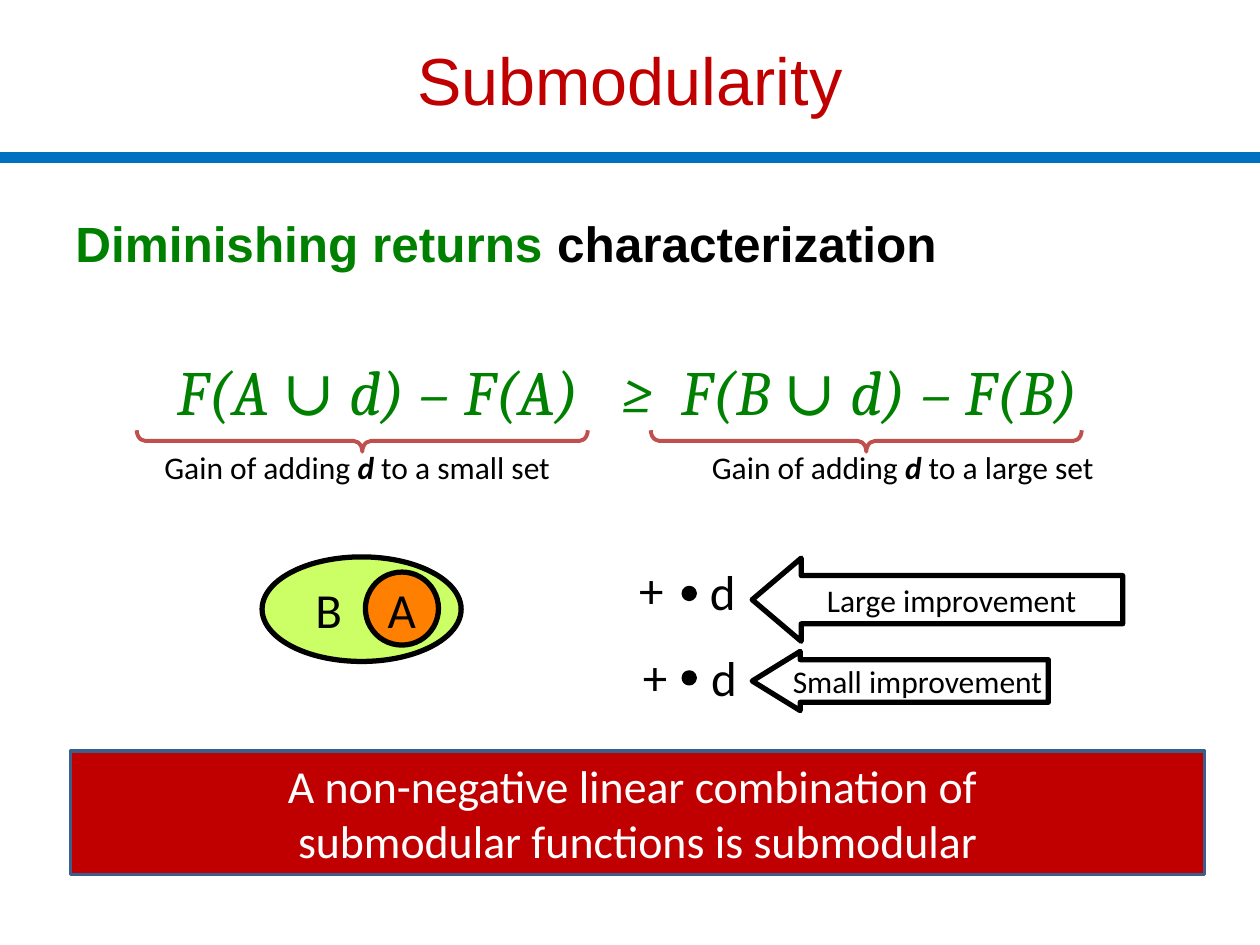
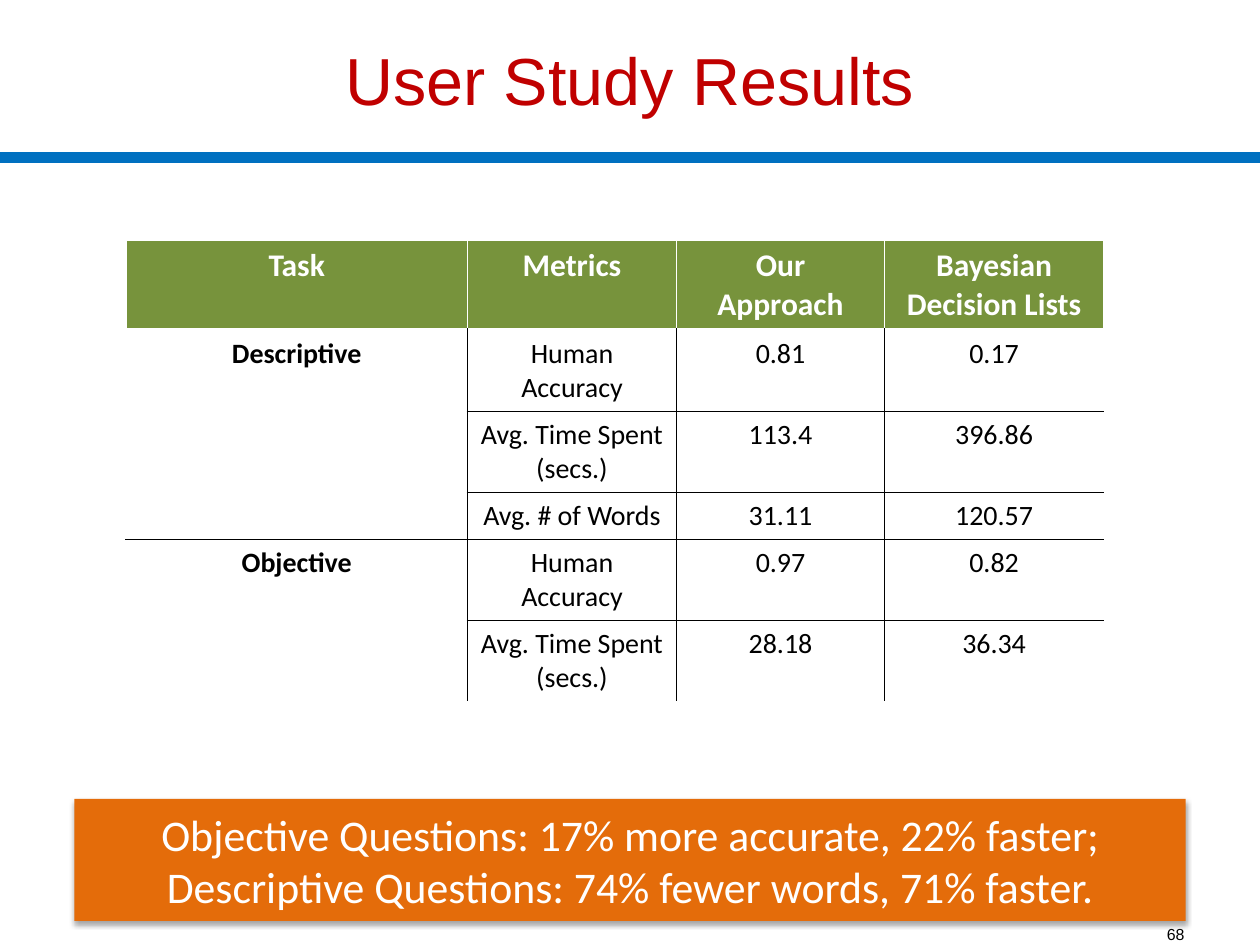
from dataclasses import dataclass
from typing import NamedTuple, Optional

from lxml.etree import SubElement
from pptx import Presentation
from pptx.dml.color import RGBColor
from pptx.enum.shapes import MSO_CONNECTOR, MSO_SHAPE
from pptx.enum.text import MSO_ANCHOR, MSO_AUTO_SIZE, PP_ALIGN
from pptx.oxml.ns import qn
from pptx.util import Emu, Pt

EMU_PER_PX = 9144  # 100 px to the inch

WHITE = RGBColor(0xFF, 0xFF, 0xFF)
BLACK = RGBColor(0x00, 0x00, 0x00)
BAND_BLUE = RGBColor(0x00, 0x70, 0xC0)
DEEP_RED = RGBColor(0xC0, 0x00, 0x00)
GREEN = RGBColor(0x00, 0x80, 0x00)
LIME = RGBColor(0xCC, 0xFF, 0x66)
ORANGE = RGBColor(0xFF, 0x80, 0x00)
BRACE_RED = RGBColor(0xC0, 0x50, 0x4D)
BOX_EDGE = RGBColor(0x3A, 0x5F, 0x8C)
HEADER_GREEN = RGBColor(0x77, 0x93, 0x3C)
BURNT_ORANGE = RGBColor(0xE4, 0x6C, 0x0A)

DEFAULT_MARGINS = (10, 5, 10, 5)


class Run(NamedTuple):
    text: str
    color: Optional[RGBColor] = None
    emphasis: bool = False


class Box(NamedTuple):
    left: int
    top: int
    width: int
    height: int


@dataclass
class Gain:
    caption_box: Box
    brace_box: Box
    set_size: str


@dataclass
class Improvement:
    arrow_box: Box
    adjustments: tuple
    label: str
    plus: tuple
    dot: tuple
    element: tuple


GAINS = [
    Gain(Box(67, 351, 433, 40), Box(279, 171, 17, 358), "small"),
    Gain(Box(508, 351, 417, 40), Box(679, 179, 17, 342), "large"),
]
IMPROVEMENTS = [
    Improvement(Box(597, 443, 294, 66), (0.58, 0.59), "Large improvement",
                (497, 439), (543, 467), (553, 441)),
    Improvement(Box(597, 517, 235, 47), (0.72, 0.81), "Small improvement",
                (500, 508), (543, 534), (554, 509)),
]

SUMMARY_BOX = Box(59, 634, 882, 97)
COLUMN_WIDTHS = [271, 166, 165, 174]
ROW_HEIGHTS = [71, 64, 64, 37, 64, 64]
RESULTS = [
    ("Task", "Metrics", "Our Approach", "Bayesian Decision Lists"),
    ("Descriptive", "Human Accuracy", "0.81", "0.17"),
    ("", "Avg. Time Spent (secs.)", "113.4", "396.86"),
    ("", "Avg. # of Words", "31.11", "120.57"),
    ("Objective", "Human Accuracy", "0.97", "0.82"),
    ("", "Avg. Time Spent (secs.)", "28.18", "36.34"),
]
TASK_SPANS = [(1, 3), (4, 5)]


def px(length: int) -> Emu:
    return Emu(length * EMU_PER_PX)


def emu_box(box: Box) -> list:
    return [px(length) for length in box]


def write(frame, *lines, size=18, font="Calibri", color=BLACK, bold=False,
          italic=False, align=PP_ALIGN.CENTER, anchor=MSO_ANCHOR.TOP,
          wrap=True, margins=DEFAULT_MARGINS, tabs=()) -> None:
    """Fill a text frame; each line is a string or a list of Run."""
    frame.auto_size = MSO_AUTO_SIZE.NONE
    frame.word_wrap = wrap
    frame.vertical_anchor = anchor
    (frame.margin_left, frame.margin_top,
     frame.margin_right, frame.margin_bottom) = map(px, margins)
    for index, line in enumerate(lines):
        paragraph = frame.add_paragraph() if index else frame.paragraphs[0]
        paragraph.alignment = align
        if tabs:
            tab_list = SubElement(paragraph._p.get_or_add_pPr(), qn("a:tabLst"))
            for position in tabs:
                SubElement(tab_list, qn("a:tab"), pos=str(px(position)), algn="l")
        for part in [Run(line)] if isinstance(line, str) else line:
            run = paragraph.add_run()
            run.text = part.text
            run.font.name = font
            run.font.size = Pt(size)
            run.font.bold = bold or part.emphasis
            run.font.italic = italic or part.emphasis
            run.font.color.rgb = part.color or color


def add_text(slide, box: Box, *lines, **text_format):
    shape = slide.shapes.add_textbox(*emu_box(box))
    write(shape.text_frame, *lines, **text_format)
    return shape


def add_figure(slide, kind, box: Box, *lines, fill=None, line=BLACK, line_width=3,
               adjustments=(), **text_format):
    shape = slide.shapes.add_shape(kind, *emu_box(box))
    shape.shadow.inherit = False
    if fill is None:
        shape.fill.background()
    else:
        shape.fill.solid()
        shape.fill.fore_color.rgb = fill
    if line is None:
        shape.line.fill.background()
    else:
        shape.line.color.rgb = line
        shape.line.width = Pt(line_width)
    for index, value in enumerate(adjustments):
        shape.adjustments[index] = value
    if lines:
        write(shape.text_frame, *lines, anchor=MSO_ANCHOR.MIDDLE, **text_format)
    return shape


def add_titled_slide(presentation, title: str):
    slide = presentation.slides.add_slide(presentation.slide_layouts[5])
    band = slide.shapes.add_connector(
        MSO_CONNECTOR.STRAIGHT, px(0), px(125), px(1000), px(125))
    band.line.color.rgb = BAND_BLUE
    band.line.width = Pt(6)
    SubElement(band._element.spPr, qn("a:effectLst"))
    shape = slide.shapes.title
    shape.left, shape.top, shape.width, shape.height = emu_box(Box(0, 0, 1000, 125))
    write(shape.text_frame, title, size=38, font="Arial", color=DEEP_RED,
          anchor=MSO_ANCHOR.MIDDLE)
    return slide


def add_soft_shadow(shape) -> None:
    effects = shape._element.spPr.find(qn("a:effectLst"))
    shadow = SubElement(effects, qn("a:outerShdw"), blurRad=str(Pt(3.1)),
                        dist=str(Pt(1.8)), dir="5400000", rotWithShape="0")
    color = SubElement(shadow, qn("a:srgbClr"), val=str(BLACK))
    SubElement(color, qn("a:alpha"), val="35000")


def build_submodularity(presentation) -> None:
    slide = add_titled_slide(presentation, "Submodularity")
    add_text(slide, Box(50, 164, 900, 567),
             [Run("Diminishing returns", GREEN), Run(" characterization")],
             size=28.3, font="Arial", bold=True, align=PP_ALIGN.LEFT)

    add_figure(slide, MSO_SHAPE.OVAL, Box(208, 442, 158, 83), "B", fill=LIME,
               size=28, wrap=False, margins=(10, 5, 62, 5))
    add_figure(slide, MSO_SHAPE.OVAL, Box(290, 454, 58, 58), "A", fill=ORANGE,
               size=28, wrap=False)

    for item in IMPROVEMENTS:
        add_text(slide, Box(*item.plus, 40, 57), "+", size=28, wrap=False)
        add_figure(slide, MSO_SHAPE.OVAL, Box(*item.dot, 8, 8), fill=BLACK)
        add_text(slide, Box(*item.element, 41, 57), "d", size=28, wrap=False)
        add_figure(slide, MSO_SHAPE.LEFT_ARROW, item.arrow_box, item.label,
                   adjustments=item.adjustments, wrap=False)

    add_text(slide, Box(108, 275, 833, 71),
             "F(A ∪ d) – F(A)\t≥\tF(B ∪ d) – F(B)",
             size=36, font="Cambria", color=GREEN, italic=True,
             align=PP_ALIGN.LEFT, margins=(33, 5, 10, 5), tabs=(352, 400))
    for gain in GAINS:
        add_text(slide, gain.caption_box,
                 [Run("Gain of adding "), Run("d", emphasis=True),
                  Run(f" to a {gain.set_size} set")])
        brace = add_figure(slide, MSO_SHAPE.RIGHT_BRACE, gain.brace_box,
                           line=BRACE_RED, line_width=2.25, adjustments=(0.4, 0.5))
        brace.rotation = 90

    add_figure(slide, MSO_SHAPE.RECTANGLE, Box(56, 596, 900, 98),
               "A non-negative linear combination of ",
               "submodular functions is submodular",
               fill=DEEP_RED, line=BOX_EDGE, line_width=2, size=26.2, color=WHITE)


def set_border(cell, side: str, color: RGBColor, width: float) -> None:
    properties = cell._tc.get_or_add_tcPr()
    line = SubElement(properties, qn(f"a:{side}"), w=str(Pt(width)))
    fill = SubElement(line, qn("a:solidFill"))
    SubElement(fill, qn("a:srgbClr"), val=str(color))


def row_rule(boundary: int, column: int) -> tuple:
    """Colour and width of the line above row number `boundary`."""
    if boundary == 1:
        return WHITE, 3
    inside = 1 < boundary < len(RESULTS)
    task_starts = [first for first, _ in TASK_SPANS]
    drawn = inside and (column > 0 or boundary in task_starts)
    return (BLACK if drawn else WHITE), 1


def column_rule(boundary: int, row: int) -> tuple:
    """Colour and width of the line left of column number `boundary`."""
    drawn = row > 0 and 0 < boundary < len(COLUMN_WIDTHS)
    return (BLACK if drawn else WHITE), 1


def add_results_table(slide) -> None:
    box = Box(100, 191, sum(COLUMN_WIDTHS), sum(ROW_HEIGHTS))
    table = slide.shapes.add_table(
        len(RESULTS), len(COLUMN_WIDTHS), *emu_box(box)).table
    table.horz_banding = False
    for column, width in zip(table.columns, COLUMN_WIDTHS):
        column.width = px(width)
    for row, height in zip(table.rows, ROW_HEIGHTS):
        row.height = px(height)
    for first, last in TASK_SPANS:
        table.cell(first, 0).merge(table.cell(last, 0))

    for r, values in enumerate(RESULTS):
        header = r == 0
        for c, value in enumerate(values):
            cell = table.cell(r, c)
            set_border(cell, "lnL", *column_rule(c, r))
            set_border(cell, "lnR", *column_rule(c + 1, r))
            set_border(cell, "lnT", *row_rule(r, c))
            set_border(cell, "lnB", *row_rule(r + 1, c))
            cell.fill.solid()
            cell.fill.fore_color.rgb = HEADER_GREEN if header else WHITE
            if header:
                cell.margin_left = cell.margin_right = px(12)
            if value:
                write_cell(cell, value, header, bold=header or c == 0)


def write_cell(cell, value: str, header: bool, bold: bool) -> None:
    paragraph = cell.text_frame.paragraphs[0]
    paragraph.alignment = PP_ALIGN.CENTER
    run = paragraph.add_run()
    run.text = value
    run.font.name = "Calibri"
    run.font.size = Pt(18 if header else 16)
    run.font.bold = bold
    run.font.color.rgb = WHITE if header else BLACK


def build_user_study(presentation) -> None:
    slide = add_titled_slide(presentation, "User Study Results")
    add_results_table(slide)
    summary = add_figure(slide, MSO_SHAPE.RECTANGLE, SUMMARY_BOX,
                         "Objective Questions: 17% more accurate, 22% faster;",
                         "Descriptive Questions: 74% fewer words, 71% faster.",
                         fill=BURNT_ORANGE, line=None, size=25, color=WHITE)
    add_soft_shadow(summary)
    below_summary = SUMMARY_BOX.top + SUMMARY_BOX.height
    add_text(slide, Box(717, below_summary, 233, 18), "68", size=9.1, font="Arial",
             align=PP_ALIGN.RIGHT, anchor=MSO_ANCHOR.MIDDLE, margins=(10, 2, 10, 0))


def main() -> None:
    presentation = Presentation()
    presentation.slide_width, presentation.slide_height = px(1000), px(750)
    build_submodularity(presentation)
    build_user_study(presentation)
    presentation.save("out.pptx")


if __name__ == "__main__":
    main()
